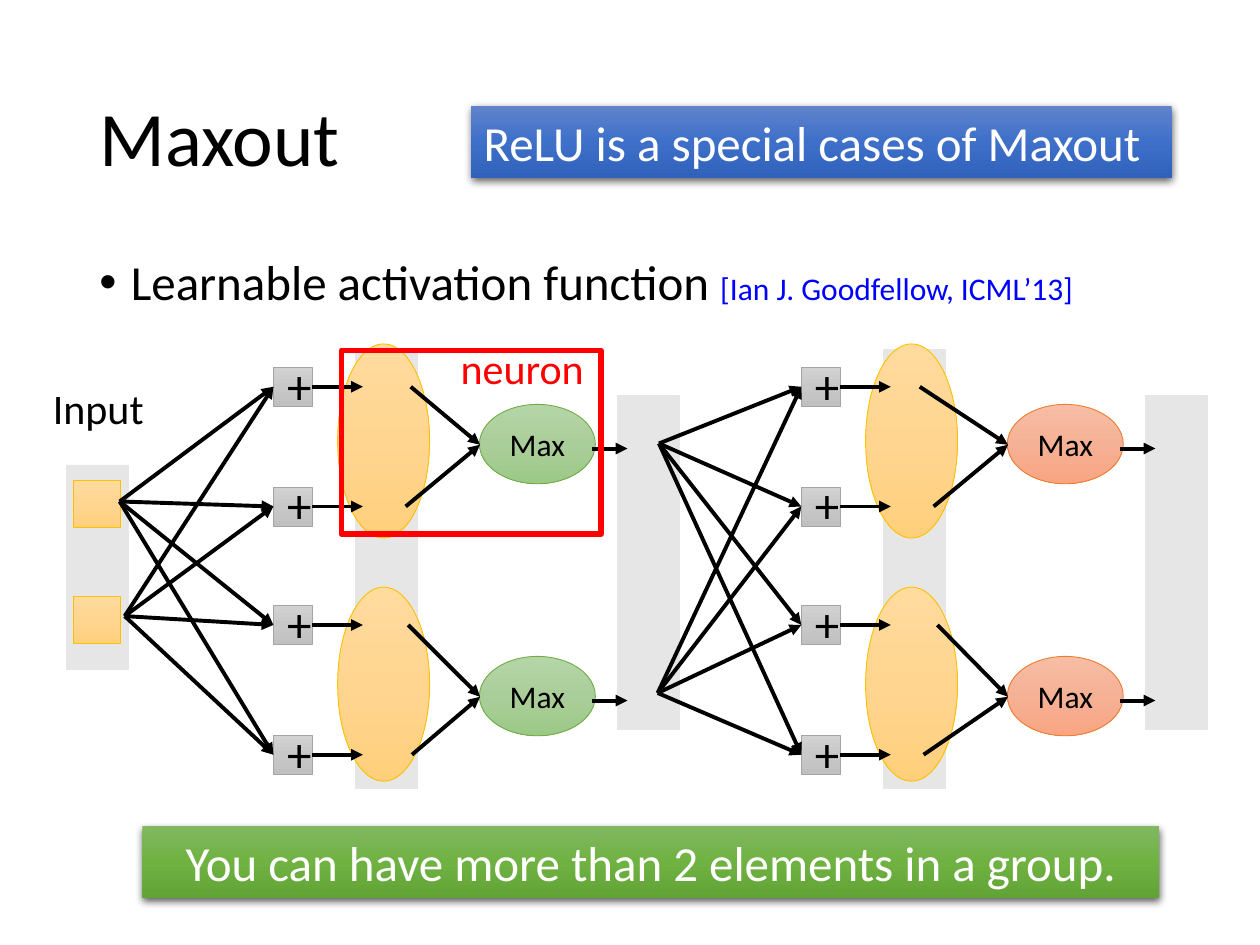
from copy import deepcopy

from pptx import Presentation
from pptx.dml.color import RGBColor as RGB
from pptx.enum.shapes import MSO_CONNECTOR as LINE, MSO_SHAPE as SHAPE
from pptx.enum.text import MSO_ANCHOR as ANCHOR, PP_ALIGN as ALIGN
from pptx.oxml import parse_xml
from pptx.oxml.ns import nsdecls, qn
from pptx.util import Inches, Pt

COLS, ROWS = 100, 75
CELL = Inches(10) // COLS
HUES = {
    "black": "000000", "white": "FFFFFF", "red": "FF0000", "link": "0000FF",
    "band": "E7E6E6", "gold": "FFC000", "green": "70AD47",
    "orange": "ED7D31", "grey": "A5A5A5",
}
FADES = {
    "gold": ("FFDB9E", "FFD590", "FFD07C"),
    "green": ("B5D5A7", "AACE9A", "9CC987"),
    "orange": ("F7BDA5", "F5B196", "F8A582"),
    "grey": ("D2D2D2", "C8C8C8", "C0C0C0"),
    "blue bar": ("6183CB", "3E70CA", "3062BB"),
    "green bar": ("81B861", "6FB242", "62A336"),
}


def grid(*cells):
    return [round(n * CELL) for n in cells]


def style(item, **vals):
    for name, val in vals.items():
        setattr(item, name, val)


def write(para, text, size, hue="black", align=ALIGN.CENTER):
    para.alignment = align
    run = para.add_run()
    run.text = text
    style(run.font, name="Calibri", size=Pt(size))
    run.font.color.rgb = RGB.from_string(HUES[hue])


def fade(shape, hue):
    """Fill with three stops, from top to bottom."""
    fill = shape.fill
    fill.gradient()
    fill.gradient_angle = 270
    stops = shape._element.spPr.find(".//" + qn("a:gsLst"))
    mid = deepcopy(stops[0])
    mid.set("pos", "50000")
    stops.insert(1, mid)
    for stop, tint in zip(fill.gradient_stops, FADES[hue]):
        stop.color.rgb = RGB.from_string(tint)


def draw(shapes, kind, box, hue, edge=None, width=0.5):
    """Add a preset shape; a hue without a fade gives a flat fill, None no fill."""
    shape = shapes.add_shape(kind, *grid(*box))
    shape.shadow.inherit = False
    if hue in FADES:
        fade(shape, hue)
    elif hue:
        shape.fill.solid()
        shape.fill.fore_color.rgb = RGB.from_string(HUES[hue])
    else:
        shape.fill.background()
    if edge:
        shape.line.width = Pt(width)
        shape.line.color.rgb = RGB.from_string(HUES[edge])
    else:
        shape.line.fill.background()
    return shape


def label(shapes, box, text, size, hue="black"):
    frame = shapes.add_textbox(*grid(*box)).text_frame
    frame.word_wrap = True
    write(frame.paragraphs[0], text, size, hue)


def arrow(shapes, start, end):
    line = shapes.add_connector(LINE.STRAIGHT, *grid(*start, *end))
    line.line.width = Pt(2.25)
    line.line.color.rgb = RGB.from_string(HUES["black"])
    line.line._get_or_add_ln().append(
        parse_xml(f'<a:tailEnd {nsdecls("a")} type="triangle"/>'))
    line._element.spPr.append(parse_xml(f'<a:effectLst {nsdecls("a")}/>'))
    return line


def banner(shapes, box, text, hue, align):
    bar = draw(shapes, SHAPE.RECTANGLE, box, hue)
    bar._element.spPr.find(qn("a:effectLst")).append(parse_xml(
        f'<a:outerShdw {nsdecls("a")} blurRad="57150" dist="19050" '
        'dir="5400000" algn="ctr" rotWithShape="0"><a:srgbClr val="000000">'
        '<a:alpha val="63000"/></a:srgbClr></a:outerShdw>'))
    bar.text_frame.vertical_anchor = ANCHOR.TOP
    write(bar.text_frame.paragraphs[0], text, 28, "white", align)


def heading(slide, x, y, w):
    title = slide.shapes.title
    style(title, **dict(zip(("left", "top", "width", "height"),
                            grid(x, y, w, 14.5))))
    title.text_frame.vertical_anchor = ANCHOR.MIDDLE
    para = title.text_frame.paragraphs[0]
    para.line_spacing = 0.9
    write(para, "Maxout", 44, align=ALIGN.LEFT)


def bullet(shapes, box):
    frame = shapes.add_textbox(*grid(*box)).text_frame
    frame.word_wrap = True
    para = frame.paragraphs[0]
    props = para._p.get_or_add_pPr()
    props.set("marL", "228600")
    props.set("indent", "-228600")
    for tag in ('buFont {} typeface="Arial"', 'buChar {} char="•"'):
        props.append(parse_xml(f"<a:{tag.format(nsdecls('a'))}/>"))
    para.line_spacing = 0.9
    write(para, "Learnable activation function ", 28, align=ALIGN.LEFT)
    write(para, "[Ian J. Goodfellow, ICML’13]", 18, "link", ALIGN.LEFT)


def inputs(shapes, x, y):
    draw(shapes, SHAPE.RECTANGLE, (x, y, 4.9, 16.2), "band", "band")
    for drop in (1.2, 10.4):
        draw(shapes, SHAPE.RECTANGLE, (x + 0.5, y + drop, 3.8, 3.8),
             "gold", "gold")
    label(shapes, (x - 3.7, y - 7, 12.4, 5), "Input", 24)


def layer(shapes, x, y, hue, feeds, starts):
    """Draw sums, groups and maxima; feeds are the points that reach each sum,
    starts the columns where the arrows to the maxima begin."""
    draw(shapes, SHAPE.RECTANGLE, (x + 6.5, y + 0.4, 4.9, 34.9), "band", "band")
    draw(shapes, SHAPE.RECTANGLE, (x + 27.3, y + 4.1, 4.9, 26.5), "band", "band")
    for drop in (0, 19.3):
        draw(shapes, SHAPE.OVAL, (x + 5.1, y + drop, 7.3, 15.4), "gold", "gold")
    for drop in (4.8, 24.8):
        cell = draw(shapes, SHAPE.OVAL, (x + 16.35, y + drop, 9.2, 6.3), hue, hue)
        cell.text_frame.word_wrap = False
        write(cell.text_frame.paragraphs[0], "Max", 18)
        out = y + drop + 3.5
        arrow(shapes, (x + 25.3, out), (x + 28.1, out))
    for i, (drop, start) in enumerate(zip((3.4, 12.9, 22.3, 32.6), starts)):
        mid = y + drop
        plus = draw(shapes, SHAPE.RECTANGLE, (x, mid - 1.55, 3.1, 3.1),
                    "grey", "grey")
        label(shapes, (x + 0.1, mid - 3, 3.3, 5.7), "+", 28)
        arrow(shapes, (x + 3.1, mid), (x + 7.1, mid)).begin_connect(plus, 3)
        for feed in feeds:
            arrow(shapes, feed, (x, mid)).end_connect(plus, 1)
        arrow(shapes, (x + start, mid), (x + 16.4, y + 8 + i // 2 * 20))


def neuron(shapes, x, y):
    draw(shapes, SHAPE.RECTANGLE, (x, y, 20.6, 14.6), None, "red", 3)
    label(shapes, (x + 8.1, y - 1.1, 12.5, 5), "neuron", 24, "red")


def main():
    deck = Presentation()
    style(deck, slide_width=COLS * CELL, slide_height=ROWS * CELL)
    slide = deck.slides.add_slide(deck.slide_layouts[5])
    shapes = slide.shapes
    heading(slide, 6.9, 4, 86.2)
    bullet(shapes, (6.9, 20, 86.2, 6))
    inputs(shapes, 5.3, 36.9)
    layer(shapes, 21.7, 27.3, "green", [(9.5, 39.8), (9.9, 48.9)],
          (10.9, 10.5, 10.7, 11))
    layer(shapes, 63.6, 27.3, "orange", [(52.3, 35.2), (52.2, 55)],
          (9.4, 10.5, 10.8, 9.7))
    banner(shapes, (37.4, 8.4, 55.6, 5.7), "ReLU is a special cases of Maxout",
           "blue bar", ALIGN.LEFT)
    banner(shapes, (11.3, 65.6, 80.7, 5.7),
           "You can have more than 2 elements in a group.",
           "green bar", ALIGN.CENTER)
    neuron(shapes, 27.1, 27.8)
    deck.save("out.pptx")


if __name__ == "__main__":
    main()
